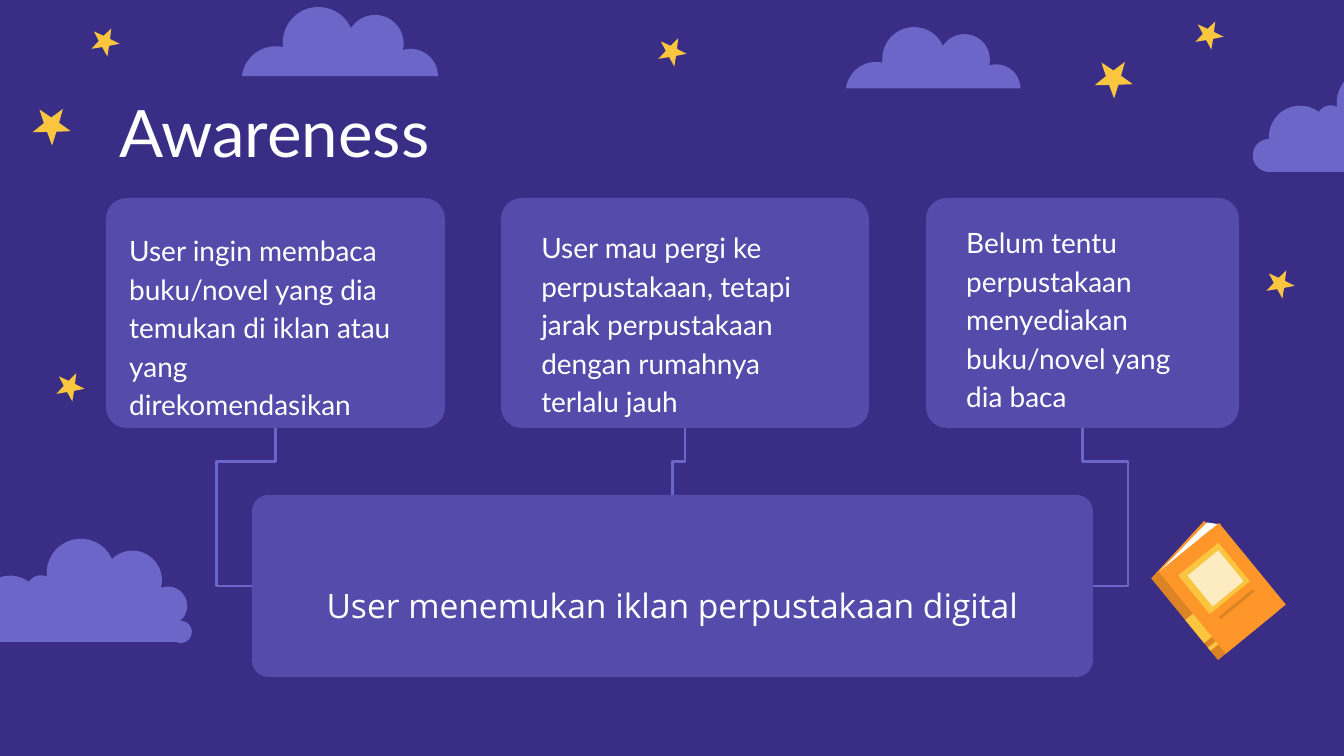
"""Build the Awareness slide: three needs that lead to one discovery, in a night sky."""
import math

from lxml import etree
from pptx import Presentation, util as u
from pptx.dml.color import RGBColor
from pptx.enum import shapes, text
from pptx.oxml.ns import qn

PX = 9144000 / 1344
TOP, LEFT, BOTTOM, RIGHT = range(4)
COLORS = {
    "night": "392D86", "cloud": "6C66C9", "star": "FAC63F", "text": "FFFFFF",
    "cover": "FF9629", "page": "FFFFFF", "shade": "191919",
}


def emu(px):
    """Turn px into EMU."""
    return u.Emu(round(px * PX))


def rgb(name):
    """Return a named colour."""
    return RGBColor.from_string(COLORS[name])


def paint(sp, color, alpha=100):
    """Fill a shape with a colour at a percentage of opacity, without outline."""
    sp.shadow.inherit = False
    sp.line.fill.background()
    sp.fill.solid()
    sp.fill.fore_color.rgb = rgb(color)
    if alpha < 100:
        clr = sp._element.spPr.find(qn("a:solidFill"))[0]
        etree.SubElement(clr, qn("a:alpha")).set("val", str(alpha * 1000))


def add_outline(tree, points, color, alpha=100):
    """Draw a closed outline through points."""
    pts = [(emu(x), emu(y)) for x, y in points]
    fb = tree.build_freeform(*pts[0])
    fb.add_line_segments(pts[1:], close=True)
    sp = fb.convert_to_shape()
    paint(sp, color, alpha)
    return sp


def add_star(s, x, y, radius, turn):
    """Draw a five-pointed star around a centre, leaning 8 degrees before its turn."""
    points = []
    for i in range(10):
        r, a = radius * (0.4 if i % 2 else 1), math.radians(36 * i + 8)
        points.append((x + r * math.sin(a), y - r * math.cos(a)))
    add_outline(s.shapes, points, "star").rotation = turn


def arc(start, end, bulge, steps=16):
    """Return points on a circular arc whose height is bulge times its chord."""
    dx, dy = end[0] - start[0], end[1] - start[1]
    half = 2 * math.atan(2 * bulge)
    r = 1 / (2 * math.sin(half))
    points = []
    for i in range(steps + 1):
        a = half * (2 * i / steps - 1)
        along, out = 0.5 + r * math.sin(a), r * (math.cos(a) - math.cos(half))
        points.append((start[0] + along * dx + out * dy, start[1] + along * dy - out * dx))
    return points


def add_cloud(s, x, y, valleys, bulges, scale=1):
    """Draw a flat-bottomed cloud with one puff between each pair of valleys."""
    points = [pt for puff in zip(valleys, valleys[1:], bulges) for pt in arc(*puff)]
    add_outline(s.shapes, [(x + px * scale, y + py * scale) for px, py in points], "cloud")


def add_hill_cloud(s, x, y, scale=1):
    """Draw the cloud with four puffs."""
    valleys = [(0, 68), (41, 39), (109, 20), (161, 42), (196, 68)]
    add_cloud(s, x, y, valleys, [0.22, 0.43, 0.42, 0.25], scale)


def add_long_cloud(s, x, y):
    """Draw the cloud with seven puffs."""
    valleys = [(19, 102), (17, 69), (67, 42), (85, 37),
               (150, 19), (199, 48), (218, 81), (214, 102)]
    add_cloud(s, x, y, valleys, [0.52, 0.32, 0.2, 0.43, 0.38, 0.43, 0.65])


def rect(x, y, w, h):
    """Return the corners of a rectangle."""
    return [(x, y), (x + w, y), (x + w, y + h), (x, y + h)]


def add_book(s, x, y, width=78, height=106):
    """Draw a tilted book; parts are measured across and down from the cover corner."""
    thick = 10
    spine = rect(thick, 0, width, height)
    parts = {
        "back": ([(thick, -11), (width + thick, 0), (thick, 17)], "cover", 100),
        "pages": ([(9, -8), (width, 0), (9, 35), (0, 2)], "page", 100),
        "spine": (spine, "cover", 100),
        "spine shade": (spine, "shade", 15),
        "cover": (rect(0, 0, width, height), "cover", 100),
        "thin band": (rect(width, 90, thick, 4), "star", 100),
        "wide band": (rect(width, 54, thick, 30), "star", 100),
        "frame": (rect(13, 15, 52, 50), "star", 100),
        "label": (rect(18, 21, 40, 40), "page", 68),
        "rule": (rect(16, 73, 44, 3), "shade", 15),
    }
    group = s.shapes.add_group_shape()
    sin, cos = 0.77, 0.63
    for points, color, alpha in parts.values():
        tilted = [(x - sin * a + cos * d, y + cos * a + sin * d) for a, d in points]
        add_outline(group.shapes, tilted, color, alpha)


def add_card(s, x, y, w, h):
    """Draw a translucent rounded card."""
    sp = s.shapes.add_shape(shapes.MSO_SHAPE.ROUNDED_RECTANGLE, *map(emu, (x, y, w, h)))
    sp.adjustments[0] = 0.09
    paint(sp, "cloud", 54)
    return sp


def add_text(s, words, box, size=15, font="Lato", align=text.PP_ALIGN.LEFT, spacing=1.15):
    """Write a text box."""
    tf = s.shapes.add_textbox(*map(emu, box)).text_frame
    tf.word_wrap = True
    tf.margin_left = tf.margin_right = tf.margin_top = tf.margin_bottom = u.Inches(0.1)
    p = tf.paragraphs[0]
    p.alignment, p.line_spacing = align, spacing
    r = p.add_run()
    r.text = words
    r.font.size, r.font.name, r.font.color.rgb = u.Pt(size), font, rgb("text")


def add_elbow(s, begin, end, turn, bends):
    """Join two card sides with a turned connector; bends are fractions of its frame."""
    cx = s.shapes.add_connector(shapes.MSO_CONNECTOR.ELBOW, 0, 0, 0, 0)
    cx.begin_connect(*begin)
    cx.end_connect(*end)
    mid_x, mid_y = (cx.begin_x + cx.end_x) // 2, (cx.begin_y + cx.end_y) // 2
    w, h = abs(cx.end_x - cx.begin_x), abs(cx.end_y - cx.begin_y)
    if turn == 90:
        w, h = h, w
    cx.left, cx.top, cx.width, cx.height = mid_x - w // 2, mid_y - h // 2, w, h
    cx.line.color.rgb, cx.line.width = rgb("cloud"), u.Pt(1.5)
    pr = cx._element.spPr
    xfrm, geom = pr.find(qn("a:xfrm")), pr.find(qn("a:prstGeom"))
    for flip in ("flipH", "flipV"):
        xfrm.attrib.pop(flip, None)
    xfrm.set("rot", str(turn * 60000))
    geom.set("prst", f"bentConnector{len(bends) + 2}")
    av = geom.find(qn("a:avLst"))
    if av is None:
        av = etree.SubElement(geom, qn("a:avLst"))
    for i, bend in enumerate(bends, 1):
        etree.SubElement(av, qn("a:gd"), name=f"adj{i}", fmla=f"val {round(bend * 100000)}")
    etree.SubElement(pr, qn("a:effectLst"))


def main():
    """Build and save the slide."""
    prs = Presentation()
    prs.slide_width, prs.slide_height = emu(1344), emu(756)
    s = prs.slides.add_slide(prs.slide_layouts[6])
    s.background.fill.solid()
    s.background.fill.fore_color.rgb = rgb("night")

    add_hill_cloud(s, 242, 8)
    for x, y in [(105, 42), (1209, 35), (1280, 284), (70, 387), (672, 52)]:
        add_star(s, x, y, 15, 17.8)
    for x, y in [(52, 126), (1114, 79)]:
        add_star(s, x, y, 20, 26.5)
    add_hill_cloud(s, 846, 28, 0.89)
    add_long_cloud(s, 1252, 70)

    left, right, middle = [add_card(s, x, 198, w, 230)
                           for x, w in [(106, 339), (926, 313), (501, 368)]]
    result = add_card(s, 252, 495, 841, 182)

    add_text(s, "Awareness", (106, 79, 1133, 85), size=35, spacing=1)
    needs = [
        ("User ingin membaca buku/novel yang dia temukan di iklan atau yang "
         "direkomendasikan", (116, 215, 313, 199)),
        ("User mau pergi ke perpustakaan, tetapi jarak perpustakaan dengan "
         "rumahnya terlalu jauh", (528, 212, 313, 190)),
        ("Belum tentu perpustakaan menyediakan buku/novel yang dia baca",
         (953, 207, 274, 199)),
    ]
    for words, box in needs:
        add_text(s, words, box)
    add_text(s, "User menemukan iklan perpustakaan digital", (257, 565, 831, 95),
             size=18, font="Open Sans", align=text.PP_ALIGN.CENTER)

    add_elbow(s, (left, BOTTOM), (result, LEFT), 90, [0.21, 2.51])
    add_elbow(s, (result, RIGHT), (right, BOTTOM), 180, [-3.34, 0.79])
    add_elbow(s, (middle, BOTTOM), (result, TOP), 90, [0.5])

    add_long_cloud(s, -38, 540)
    add_book(s, 1219, 523)
    prs.save("out.pptx")


if __name__ == "__main__":
    main()
